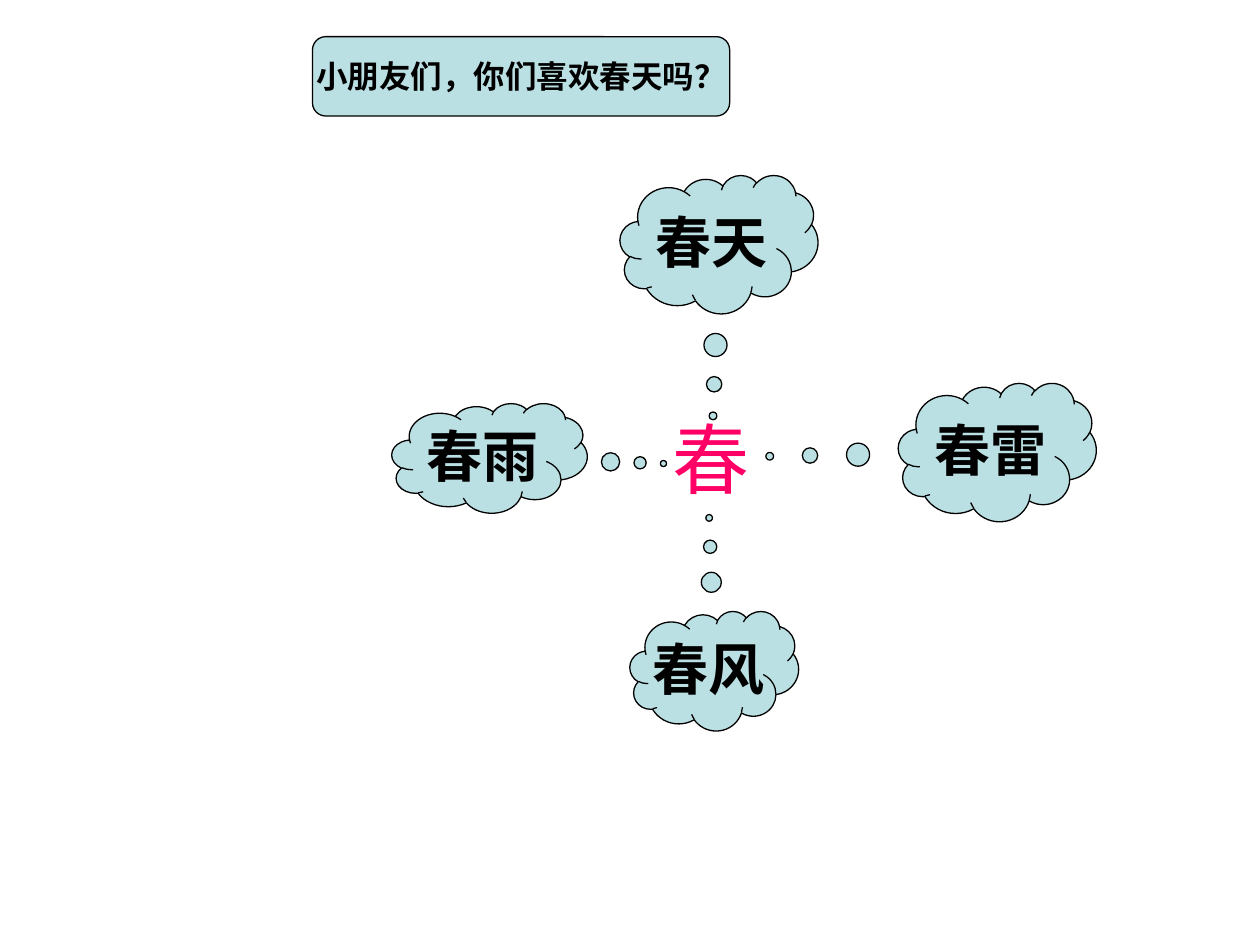
from dataclasses import dataclass

from lxml import etree
from pptx import Presentation
from pptx import util as u
from pptx.dml.color import RGBColor
from pptx.enum import shapes, text
from pptx.oxml import ns


@dataclass(frozen=True)
class Theme:
    fill: RGBColor = RGBColor(0xBB, 0xE0, 0xE3)
    ink: RGBColor = RGBColor(0, 0, 0)
    accent: RGBColor = RGBColor(0xFF, 0x00, 0x66)
    latin: str = "Times New Roman"
    cjk: str = "Noto Sans CJK SC"
    question: int = 18
    word: int = 32
    hub: int = 44
    line: float = 0.75


THEME = Theme()


def write(shape, words, color, align, wrap, **font):
    """Put one formatted line of text into a shape."""
    frame = shape.text_frame
    frame.word_wrap = wrap
    frame.vertical_anchor = text.MSO_ANCHOR.MIDDLE
    para = frame.paragraphs[0]
    para.alignment = align
    span = para.add_run()
    span.text = words
    for name, value in font.items():
        setattr(span.font, name, value)
    span.font.color.rgb = color
    east_asian = etree.SubElement(span.font._element, ns.qn("a:ea"))
    east_asian.set("typeface", THEME.cjk)


def add_bubble(page, kind, box, words, size, tail=()):
    """Filled, outlined shape with a bold centred label."""
    shape = page.shapes.add_shape(kind, *map(u.Cm, box))
    shape.shadow.inherit = False
    shape.fill.solid()
    shape.fill.fore_color.rgb = THEME.fill
    shape.line.color.rgb = THEME.ink
    shape.line.width = u.Pt(THEME.line)
    for index, offset in enumerate(tail):
        shape.adjustments[index] = offset
    write(shape, words, THEME.ink, text.PP_ALIGN.CENTER, False,
          name=THEME.latin, size=u.Pt(size), bold=True)


def add_question(page, box):
    add_bubble(page, shapes.MSO_SHAPE.FLOWCHART_ALTERNATE_PROCESS, box,
               "小朋友们，你们喜欢春天吗？", THEME.question)


def add_word_map(page, left, top):
    """Central character with four thought clouds pointing at it."""
    hub_box = (left + 5.41, top + 4.6, 2.01, 2.21)
    hub = page.shapes.add_textbox(*map(u.Cm, hub_box))
    write(hub, "春", THEME.accent, text.PP_ALIGN.LEFT, True,
          name=THEME.cjk, size=u.Pt(THEME.hub))

    # Word, offset and size in the map, tail tip relative to the cloud
    clouds = [
        ("春天", (4.6, 0, 3.99, 2.79), (-0.03, 1.24)),
        ("春雷", (10.21, 4.19, 3.99, 2.79), (-1.15, 0.03)),
        ("春风", (4.8, 8.79, 3.4, 2.41), (-0.03, -1.28)),
        ("春雨", (0, 4.6, 3.94, 2.21), (0.89, 0.05)),
    ]
    for word, (x, y, width, height), tail in clouds:
        add_bubble(page, shapes.MSO_SHAPE.CLOUD_CALLOUT,
                   (left + x, top + y, width, height), word, THEME.word, tail)


def main():
    deck = Presentation()
    deck.slide_width, deck.slide_height = u.Cm(25.4), u.Cm(19.05)
    page = deck.slides.add_slide(deck.slide_layouts[6])
    add_word_map(page, 7.9, 3.53)
    add_question(page, (6.3, 0.74, 8.41, 1.6))
    deck.save("out.pptx")


if __name__ == "__main__":
    main()
